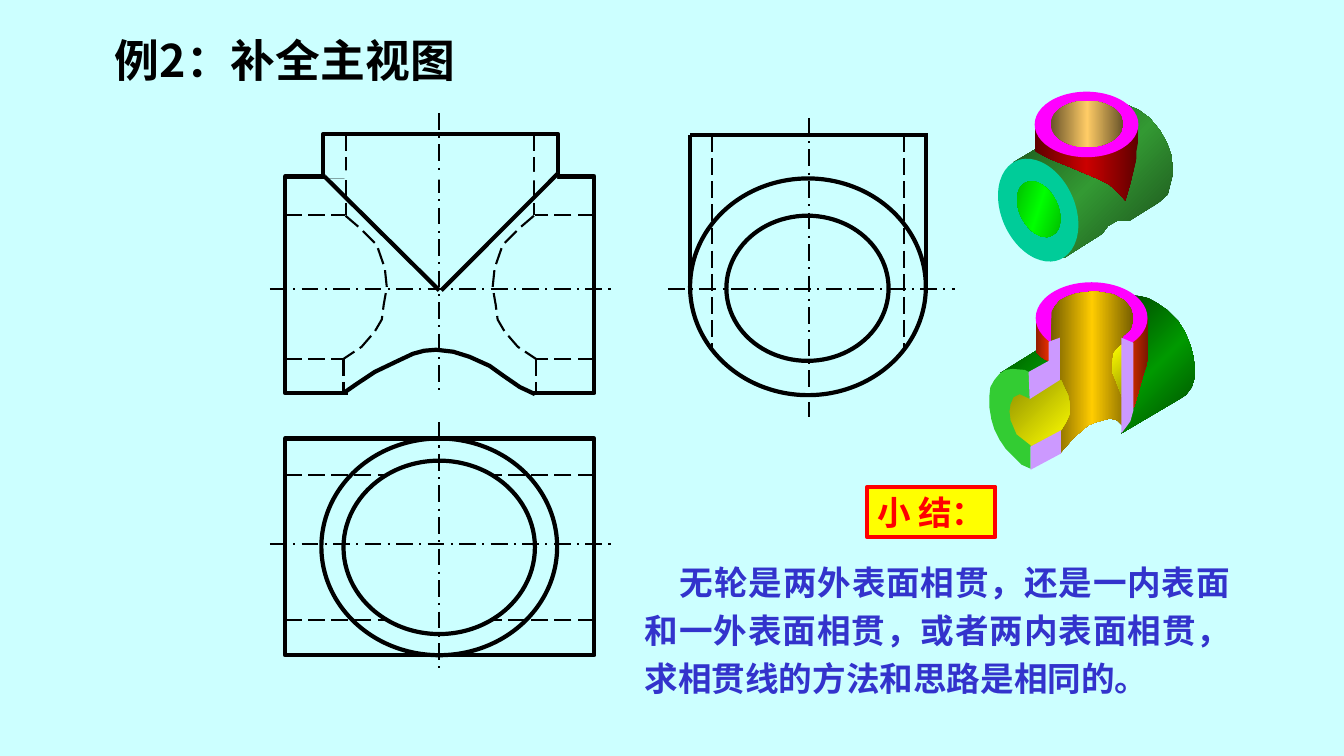
from dataclasses import dataclass

from lxml import etree
from pptx import Presentation, util as u
from pptx.dml.color import RGBColor
from pptx.enum import dml, shapes as kinds, text
from pptx.oxml.ns import qn

COLUMNS, ROWS = 1334, 750
CELL = u.Inches(0.01)
SANS, SERIF = "Noto Sans CJK SC", "Times New Roman"
HIDDEN, AXIS = dml.MSO_LINE.LONG_DASH, dml.MSO_LINE.LONG_DASH_DOT
THICK, THIN = 3, 1.5
COLORS = {
    "paper": "CCFFFF", "ink": "000000", "red": "FF0000", "yellow": "FFFF00",
    "blue": "3333CC", "magenta": "FF00FF", "teal": "00CC99", "lime": "33CC33",
    "section": "CC99FF",
}
GRADIENTS = {
    "pipe": (45, "184718", "339933", "184718"),
    "branch": (0, "5E0000", "CC0000", "5E0000"),
    "copper": (0, "69542A", "FFCC66", "69542A"),
    "bore": (45, "00A800", "00FF00", "00A800"),
    "dark green": (45, "005E00", "009900"),
    "left wall": (0, "901D00", "FF3300"),
    "cut pipe": (45, "004700", "009900", "004700"),
    "right wall": (0, "FF3300", "761800"),
    "gold": (0, "765E00", "FFCC00", "765E00"),
    "olive": (45, "8A8A00", "FFFF00"),
    "lemon": (45, "FFFF00", "A2A200"),
}


@dataclass
class Box:
    """Region of the slide, measured in grid cells, with drawing helpers."""
    shapes: object
    left: int
    top: int
    width: int
    height: int

    def frame(self, left=0, top=0, width=None, height=None):
        """Return slide lengths of a part of this box."""
        return [round(CELL * value) for value in (
            self.left + left, self.top + top, width or self.width, height or self.height)]

    def line(self, x1, y1, x2, y2, width=THIN, dash=None, color="ink"):
        """Draw a straight line between two points of the box."""
        ends = [CELL * value for value in (
            self.left + x1, self.top + y1, self.left + x2, self.top + y2)]
        connector = self.shapes.add_connector(kinds.MSO_CONNECTOR.STRAIGHT, *ends)
        outline(connector, width, dash, color)
        etree.SubElement(connector._element.spPr, qn("a:effectLst"))

    def mirrored(self, x1, y1, x2, y2, **style):
        """Draw a line and its reflection about the vertical axis."""
        self.line(x1, y1, x2, y2, **style)
        self.line(self.width - x1, y1, self.width - x2, y2, **style)

    def preset(self, kind, *part, fill=None, width=None, color="ink", rotation=0):
        """Draw a rectangle or an ellipse in a part of the box."""
        shape = self.shapes.add_shape(kind, *self.frame(*part))
        shape.rotation = rotation
        return finish(shape, fill, width, None, color)

    def ellipse(self, *part, **style):
        """Draw an ellipse."""
        return self.preset(kinds.MSO_SHAPE.OVAL, *part, **style)

    def rectangle(self, *part, **style):
        """Draw a rectangle."""
        return self.preset(kinds.MSO_SHAPE.RECTANGLE, *part, **style)

    def outline(self, points, fill=None, width=None, dash=None):
        """Draw a path through points, closed when it is filled."""
        builder = self.shapes.build_freeform(*points[0], scale=CELL)
        builder.add_line_segments(points[1:], close=fill is not None)
        shape = builder.convert_to_shape(CELL * self.left, CELL * self.top)
        return finish(shape, fill, width, dash, "ink")


def rgb(name):
    """Return a palette colour."""
    return RGBColor.from_string(COLORS[name])


def outline(shape, width, dash, color):
    """Format a line."""
    shape.line.color.rgb = rgb(color)
    shape.line.width = u.Pt(width)
    if dash:
        shape.line.dash_style = dash


def finish(shape, fill, width, dash, color):
    """Set fill, line and shadow of a shape."""
    shape.shadow.inherit = False
    if fill in GRADIENTS:
        angle, *stops = GRADIENTS[fill]
        shape.fill.gradient()
        shape.fill.gradient_angle = (360 - angle) % 360
        stop_list = shape._element.spPr.find(qn("a:gradFill")).find(qn("a:gsLst"))
        for stop in list(stop_list):
            stop_list.remove(stop)
        for index, value in enumerate(stops):
            position = str(100000 * index // (len(stops) - 1))
            stop = etree.SubElement(stop_list, qn("a:gs"), pos=position)
            etree.SubElement(stop, qn("a:srgbClr"), val=value)
    elif fill:
        shape.fill.solid()
        shape.fill.fore_color.rgb = rgb(fill)
    else:
        shape.fill.background()
    if width:
        outline(shape, width, dash, color)
    else:
        shape.line.fill.background()
    return shape


def write(shape, words, size, color, align, font=SANS, wrap=True):
    """Write one bold run in a shape and return its paragraph."""
    frame = shape.text_frame
    frame.word_wrap = wrap
    frame.auto_size = text.MSO_AUTO_SIZE.NONE
    frame.vertical_anchor = text.MSO_ANCHOR.MIDDLE
    paragraph = frame.paragraphs[0]
    paragraph.alignment = align
    run = paragraph.add_run()
    run.text = words
    run.font.size, run.font.bold, run.font.name = u.Pt(size), True, font
    run.font.color.rgb = rgb(color)
    etree.SubElement(run.font._element, qn("a:ea"), typeface=SANS)
    return paragraph


def front_view(box):
    """Draw the front view of the two pipes."""
    box.line(153, -21, 153, 257, dash=AXIS)
    box.line(-15, 154, 327, 154, dash=AXIS)
    box.mirrored(60, 0, 60, 80, dash=HIDDEN)
    box.rectangle(0, 42, 307, 215, width=THICK)
    box.rectangle(38, 0, 233, 42, width=THICK)
    box.line(40, 40, 270, 42, width=6, color="paper")
    box.line(39, 42, 153, 155, width=THICK)
    box.line(271, 39, 155, 155, width=THICK)
    box.mirrored(58, 223, 58, 259, dash=HIDDEN)
    for y in (80, 223):
        box.mirrored(0, y, 59, y, dash=HIDDEN)
    bore = [(60, 81), (74, 93), (91, 110), (99, 133), (101, 152), (98, 169),
            (96, 184), (89, 196), (76, 211), (58, 223)]
    for curve in (bore, [(box.width - x, y) for x, y in bore]):
        box.outline(curve, width=THIN, dash=HIDDEN)
    box.line(62, 257, 247, 257, width=4.5, color="paper")
    box.outline([(58, 257), (71, 248), (89, 236), (110, 226), (127, 218), (138, 215),
                 (150, 214), (167, 216), (183, 221), (203, 230), (217, 240),
                 (233, 251), (248, 258)], width=THICK)


def side_view(box):
    """Draw the side view."""
    box.line(118, -17, 118, 280, dash=AXIS)
    box.line(-22, 153, 263, 153, dash=AXIS)
    box.ellipse(0, 43, 234, 215, width=THICK)
    box.ellipse(36, 80, 161, 144, width=THICK)
    box.mirrored(0, 0, 0, 151, width=THICK)
    box.line(0, 0, 236, 0, width=THICK)
    box.mirrored(22, 0, 22, 215, dash=HIDDEN)


def top_view(box):
    """Draw the top view."""
    box.line(153, -16, 153, 228, dash=AXIS)
    box.line(-15, 105, 326, 105, dash=AXIS)
    box.ellipse(36, 0, 234, 215, width=THICK)
    box.rectangle(width=THICK)
    box.ellipse(58, 22, 190, 172, width=THICK)
    for y in (36, 180):
        box.mirrored(0, y, 102, y, dash=HIDDEN)


def whole_solid(box):
    """Draw the joined pipes in space."""
    box.outline([(16, 71), (38, 58), (122, 88), (136, 55), (126, 13), (140, 19), (151, 27),
                 (161, 39), (168, 51), (173, 65), (174, 83), (169, 103), (160, 111),
                 (131, 129), (119, 129), (110, 134), (104, 142), (66, 166), (58, 88)], "pipe")
    box.outline([(37, 30), (37, 60), (53, 68), (73, 76), (99, 87), (111, 93), (121, 102),
                 (127, 109), (132, 92), (138, 67), (138, 60), (140, 49), (140, 31)], "branch")
    box.ellipse(37, 1, 103, 65, fill="magenta")
    box.ellipse(53, 10, 72, 46, fill="copper")
    box.ellipse(4, 65, 73, 107, fill="teal", rotation=335.7)
    box.ellipse(22, 88, 38, 59, fill="bore", rotation=333.3)


def cut_solid(box):
    """Draw the joined pipes cut open."""
    box.outline([(13, 90), (50, 67), (64, 78), (40, 94)], "dark green")
    box.outline([(48, 33), (48, 69), (52, 73), (58, 77), (63, 78), (65, 56)], "left wall")
    box.outline([(144, 13), (152, 14), (160, 16), (169, 21), (179, 28), (189, 38), (196, 49),
                 (201, 61), (204, 71), (206, 84), (206, 94), (203, 104), (197, 112),
                 (189, 117), (133, 150), (141, 139), (144, 127), (147, 88), (151, 78),
                 (152, 68)], "cut pipe")
    box.outline([(133, 64), (136, 82), (136, 134), (146, 123), (155, 91), (158, 82),
                 (160, 70), (159, 35)], "right wall")
    box.ellipse(48, 0, 111, 71, fill="magenta")
    box.outline([(72, 75), (64, 66), (63, 53), (64, 29), (67, 24), (72, 18), (80, 14),
                 (89, 11), (107, 9), (125, 12), (136, 18), (142, 25), (145, 32), (145, 40),
                 (142, 47), (134, 54), (134, 142), (129, 137), (122, 135), (107, 139),
                 (100, 142), (93, 148), (86, 154), (72, 170)], "gold")
    box.outline([(42, 115), (48, 108), (56, 103), (73, 97), (80, 112), (82, 122), (82, 130),
                 (78, 139), (73, 147), (42, 163), (28, 158), (14, 120), (22, 98)], "olive")
    box.outline([(43, 116), (43, 90), (37, 87), (25, 86), (18, 87), (12, 91), (7, 97), (3, 104),
                 (2, 113), (2, 124), (4, 136), (7, 146), (12, 156), (18, 165), (25, 172),
                 (34, 181), (43, 185), (43, 162), (29, 151), (23, 137), (22, 128), (23, 121),
                 (26, 114), (32, 111)], "lime")
    box.outline([(61, 59), (72, 55), (72, 97), (42, 116), (41, 89), (61, 78)], "section")
    box.outline([(43, 163), (43, 186), (73, 170), (73, 147)], "section")
    box.outline([(133, 62), (128, 67), (125, 71), (124, 89), (127, 96), (134, 114)], "lemon")
    box.outline([(133, 55), (145, 60), (145, 127), (142, 138), (133, 150)], "section")


def summary(label, body):
    """Write the summary label and its sentence."""
    shape = label.rectangle(fill="yellow", width=THICK, color="red")
    write(shape, "小 结：", 24, "red", text.PP_ALIGN.CENTER, SERIF, wrap=False)
    shape = body.shapes.add_textbox(*body.frame())
    paragraph = write(shape, "无轮是两外表面相贯，还是一内表面和一外表面相贯，"
                      "或者两内表面相贯，求相贯线的方法和思路是相同的。",
                      24, "blue", text.PP_ALIGN.JUSTIFY)
    paragraph.line_spacing = 1.2
    paragraph._p.get_or_add_pPr().set("indent", str(CELL * 35))


def heading(shape, box):
    """Place and write the title."""
    shape.left, shape.top, shape.width, shape.height = box.frame()
    write(shape, "例2：补全主视图", 32, "ink", text.PP_ALIGN.LEFT)


def main():
    """Build and save the slide."""
    presentation = Presentation()
    presentation.slide_width, presentation.slide_height = CELL * COLUMNS, CELL * ROWS
    slide = presentation.slides.add_slide(presentation.slide_layouts[5])
    slide.background.fill.solid()
    slide.background.fill.fore_color.rgb = rgb("paper")
    shapes = slide.shapes
    heading(shapes.title, Box(shapes, 104, 27, 378, 64))
    front_view(Box(shapes, 283, 133, 307, 257))
    side_view(Box(shapes, 685, 134, 234, 258))
    top_view(Box(shapes, 283, 435, 307, 215))
    whole_solid(Box(shapes.add_group_shape().shapes, 990, 90, 180, 172))
    cut_solid(Box(shapes.add_group_shape().shapes, 980, 280, 206, 186))
    summary(Box(shapes, 861, 483, 127, 50), Box(shapes, 630, 544, 601, 154))
    presentation.save("out.pptx")


if __name__ == "__main__":
    main()
